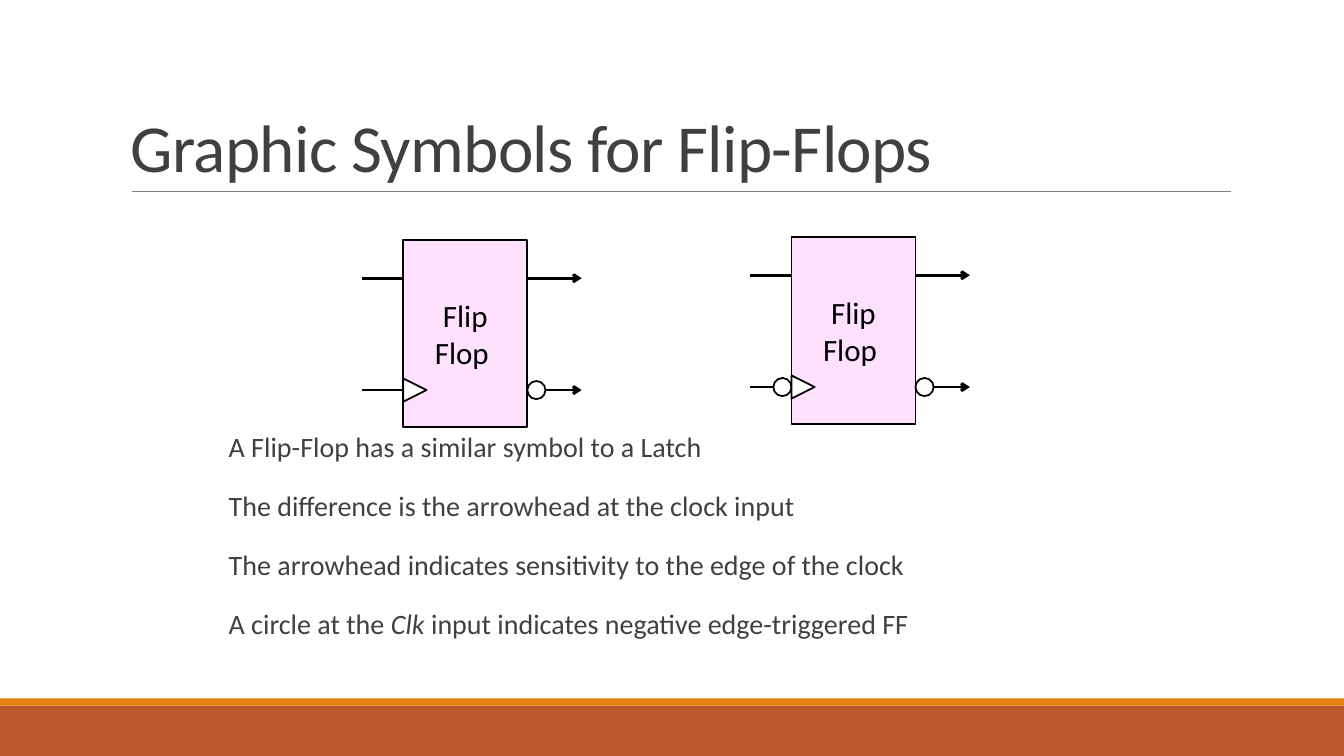
from pptx import Presentation
from pptx.dml.color import RGBColor
from pptx.enum.shapes import MSO_CONNECTOR, MSO_SHAPE
from pptx.enum.text import MSO_ANCHOR, PP_ALIGN
from pptx.oxml.ns import qn
from pptx.util import Inches, Pt
from lxml.etree import SubElement

TITLE = "Graphic Symbols for Flip-Flops"
# Each point is a list of (text, italic) runs
POINTS = [
    [("A Flip-Flop has a similar symbol to a Latch", False)],
    [("The difference is the arrowhead at the clock input", False)],
    [("The arrowhead indicates sensitivity to the edge of the clock", False)],
    [("A circle at the ", False), ("Clk", True),
     (" input indicates negative edge-triggered FF", False)],
]
SYMBOL_LABEL = ["Flip", "Flop "]
# Left and top of each symbol's body, and whether its clock is inverted
SYMBOLS = [(4, 2.38, False), (7.85, 2.35, True)]

THEME = {
    "font": "Calibri", "text": "404040", "ink": "000000", "white": "FFFFFF",
    "body": "FFE1FF", "rule": "808080", "band": "BD582C", "stripe": "E48312",
    "title_size": 48, "point_size": 20, "label_size": 22.1,
    "outline": 1.25, "wire": 2, "rule_width": 0.5,
}
BODY_W, BODY_H = 1.23, 1.86
WIRE_START, WIRE_END = -0.41, 1.77
DATA_Y, CLOCK_Y = 0.38, 1.49
BUBBLE, WEDGE = 0.18, 0.23


def color(name):
    return RGBColor.from_string(THEME[name])


def add_block(shapes, kind, box, fill, outlined=True):
    block = shapes.add_shape(kind, *map(Inches, box))
    block.shadow.inherit = False
    block.fill.solid()
    block.fill.fore_color.rgb = color(fill)
    if outlined:
        block.line.color.rgb = color("ink")
        block.line.width = Pt(THEME["outline"])
    else:
        block.line.fill.background()
    return block


def add_line(shapes, x1, x2, y, ink, width, arrow=False):
    line = shapes.add_connector(
        MSO_CONNECTOR.STRAIGHT, Inches(x1), Inches(y), Inches(x2), Inches(y))
    line.line.color.rgb = color(ink)
    line.line.width = Pt(THEME[width])
    properties = line.line._get_or_add_ln()
    if arrow:
        SubElement(properties, qn("a:tailEnd"), type="arrow")
    SubElement(properties.getparent(), qn("a:effectLst"))


def style(paragraph, size, ink):
    paragraph.font.name = THEME["font"]
    paragraph.font.size = Pt(THEME[size])
    paragraph.font.color.rgb = color(ink)


def add_frame(slide, box, anchor):
    frame = slide.shapes.add_textbox(*map(Inches, box)).text_frame
    frame.word_wrap = True
    frame.vertical_anchor = anchor
    return frame


def add_flip_flop(slide, left, top, inverted):
    parts = slide.shapes.add_group_shape().shapes
    clock = top + CLOCK_Y
    for y in (top + DATA_Y, clock):
        add_line(parts, left + WIRE_START, left + WIRE_END, y, "ink", "wire", arrow=True)

    body = add_block(parts, MSO_SHAPE.RECTANGLE, (left, top, BODY_W, BODY_H), "body")
    frame = body.text_frame
    frame.vertical_anchor = MSO_ANCHOR.MIDDLE
    frame.text = "\n".join(SYMBOL_LABEL)
    for paragraph in frame.paragraphs:
        paragraph.alignment = PP_ALIGN.CENTER
        style(paragraph, "label_size", "ink")

    bubbles = [left + BODY_W] + ([left - BUBBLE] if inverted else [])
    for x in bubbles:
        add_block(parts, MSO_SHAPE.OVAL, (x, clock - BUBBLE / 2, BUBBLE, BUBBLE), "white")
    wedge = add_block(parts, MSO_SHAPE.ISOSCELES_TRIANGLE,
                      (left, clock - WEDGE / 2, WEDGE, WEDGE), "white")
    wedge.rotation = 90


def add_title(slide):
    heading = add_frame(slide, (1.2, 0.31, 11, 1.59), MSO_ANCHOR.BOTTOM).paragraphs[0]
    heading.line_spacing = 0.85
    run = heading.add_run()
    run.text = TITLE
    run.font._element.set("spc", "-50")
    style(heading, "title_size", "text")


def add_points(slide):
    frame = add_frame(slide, (2.17, 4.25, 9, 2.54), MSO_ANCHOR.TOP)
    for index, runs in enumerate(POINTS):
        point = frame.add_paragraph() if index else frame.paragraphs[0]
        point.line_spacing = 0.9
        point.space_before = Pt(18.5 if index else 0)
        point.space_after = Pt(2)
        style(point, "point_size", "text")
        for text, italic in runs:
            run = point.add_run()
            run.text = text
            if italic:
                run.font.italic = True


def main():
    deck = Presentation()
    deck.slide_width, deck.slide_height = Inches(13.33), Inches(7.5)
    slide = deck.slides.add_slide(deck.slide_layouts[6])
    for top, height, fill in [(7, 0.5, "band"), (6.93, 0.07, "stripe")]:
        add_block(slide.shapes, MSO_SHAPE.RECTANGLE, (0, top, 13.33, height), fill,
                  outlined=False)
    add_line(slide.shapes, 1.31, 12.21, 1.9, "rule", "rule_width")
    add_title(slide)
    add_points(slide)
    for left, top, inverted in SYMBOLS:
        add_flip_flop(slide, left, top, inverted)
    deck.save("out.pptx")


if __name__ == "__main__":
    main()
